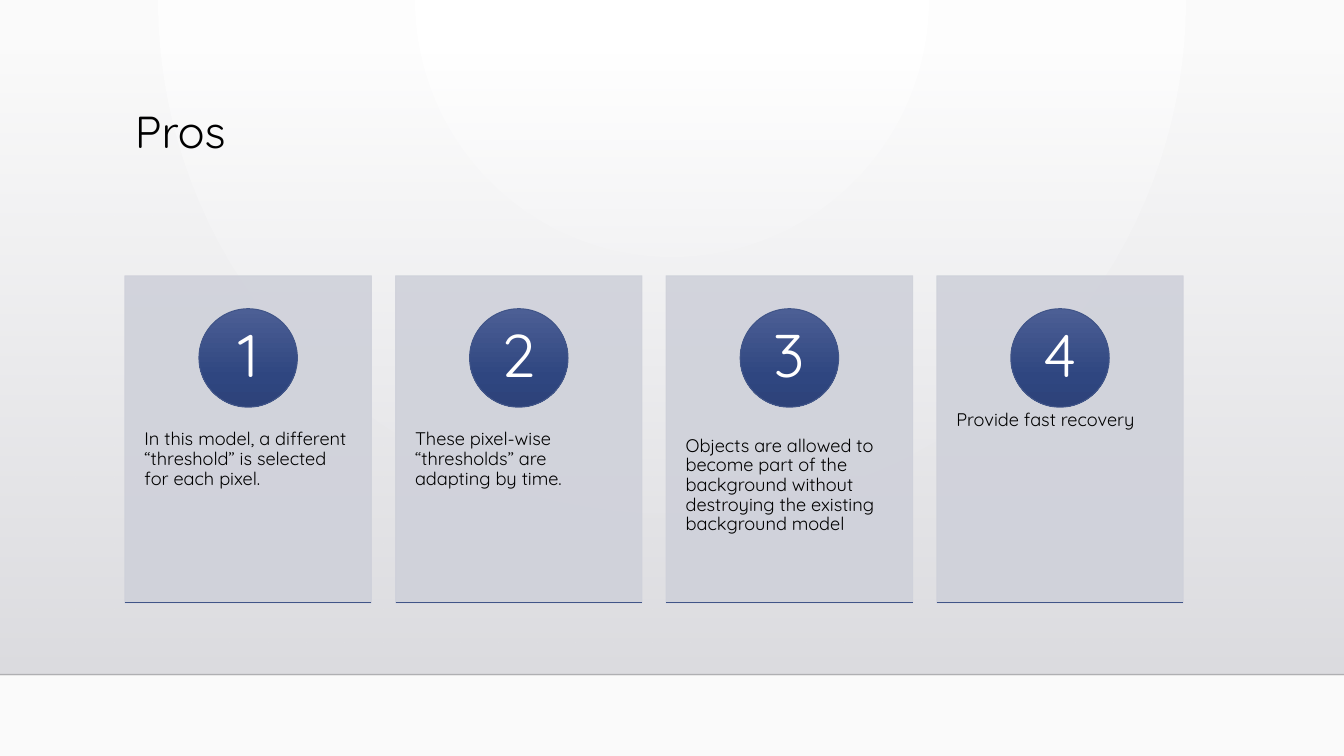
from pptx import Presentation
from pptx.dml.color import RGBColor
from pptx.enum.shapes import MSO_CONNECTOR, MSO_SHAPE
from pptx.enum.text import MSO_ANCHOR, PP_ALIGN
from pptx.oxml import parse_xml
from pptx.oxml.ns import nsdecls, qn
from pptx.oxml.xmlchemy import OxmlElement
from pptx.util import Cm, Pt

STRAIGHT = MSO_CONNECTOR.STRAIGHT
RECTANGLE, OVAL = MSO_SHAPE.RECTANGLE, MSO_SHAPE.OVAL
TOP, MIDDLE = MSO_ANCHOR.TOP, MSO_ANCHOR.MIDDLE
LEFT, CENTER = PP_ALIGN.LEFT, PP_ALIGN.CENTER

FONT = "Quicksand"
COLORS = {
    "text": "000000",
    "number": "FFFFFF",
    "card": "CFD1DA",
    "accent": "415588",
    "floor": "000001",
}
GLOW = [(0, "FFFFFF", 100), (100, "FAFAFA", 100)]
WALL = [(0, "DCDCE0", 0), (100, "DEDEE2", 100)]
BADGE = [(0, "4C5F95", 100), (69, "2F4680", 100), (100, "2D4279", 100)]
DOWNWARD = '<a:lin ang="5400000" scaled="0"/>'
FROM_TOP = '<a:path path="circle"><a:fillToRect l="43000" t="0" r="43000" b="100000"/></a:path>'

SLIDE_WIDTH, SLIDE_HEIGHT = 33.87, 19.05
FLOOR_TOP = 17
CARD_LEFT, CARD_TOP, CARD_WIDTH, CARD_HEIGHT = 3.15, 6.95, 6.21, 8.24
CARD_PITCH = 6.82
BADGE_TOP, BADGE_SIZE = 7.78, 2.48
BODY_TOP, BODY_HEIGHT = 10.09, 4.92
PROS = [
    "In this model, a different “threshold” is selected for each pixel.",
    "These pixel-wise “thresholds” are adapting by time.",
    "Objects are allowed to become part of the background without destroying the existing background model",
    "Provide fast recovery",
]


class SlideBuilder:
    """Holds the style and the current slide, and draws each kind of element."""

    def __init__(self, presentation):
        self.slide = presentation.slides.add_slide(presentation.slide_layouts[5])
        self.shapes = self.slide.shapes

    def set_alpha(self, parent, percent):
        alpha = OxmlElement("a:alpha")
        alpha.set("val", str(percent * 1000))
        next(parent.iter(qn("a:srgbClr"))).append(alpha)

    def set_gradient(self, parent, stops, direction):
        stop_xml = "".join(
            f'<a:gs pos="{position * 1000}"><a:srgbClr val="{color}">'
            f'<a:alpha val="{alpha * 1000}"/></a:srgbClr></a:gs>'
            for position, color, alpha in stops
        )
        gradient = parse_xml(
            f'<a:gradFill {nsdecls("a")} rotWithShape="1">'
            f"<a:gsLst>{stop_xml}</a:gsLst>{direction}</a:gradFill>"
        )
        parent.replace(parent.find(qn("a:solidFill")), gradient)

    def set_line(self, line, color, width, alpha=100):
        line.color.rgb = RGBColor.from_string(COLORS[color])
        line.width = Pt(width)
        if alpha < 100:
            self.set_alpha(line.fill._xPr, alpha)

    def set_text(self, shape, text, size, color="text", align=LEFT, anchor=TOP, insets=(0.25, 0.13)):
        frame = shape.text_frame
        frame.word_wrap = True
        frame.vertical_anchor = anchor
        frame.margin_left = frame.margin_right = Cm(insets[0])
        frame.margin_top = frame.margin_bottom = Cm(insets[1])
        frame.text = text
        paragraph = frame.paragraphs[0]
        paragraph.alignment = align
        paragraph.line_spacing = 0.9
        paragraph.font.name = FONT
        paragraph.font.size = Pt(size)
        paragraph.font.color.rgb = RGBColor.from_string(COLORS[color])

    def background(self):
        fill = self.slide.background.fill
        fill.solid()
        fill.fore_color.rgb = RGBColor.from_string(GLOW[0][1])
        self.set_gradient(next(self.slide.element.iter(qn("p:bgPr"))), GLOW, FROM_TOP)

    def shape(self, kind, left, top, width, height, color="card", stops=None):
        shape = self.shapes.add_shape(kind, Cm(left), Cm(top), Cm(width), Cm(height))
        shape.shadow.inherit = False
        shape.fill.solid()
        shape.fill.fore_color.rgb = RGBColor.from_string(COLORS[color])
        shape.line.fill.background()
        if stops:
            self.set_gradient(shape.element.spPr, stops, DOWNWARD)
        return shape

    def line(self, left, top, width, color, weight, alpha=100):
        connector = self.shapes.add_connector(STRAIGHT, Cm(left), Cm(top), Cm(left + width), Cm(top))
        self.set_line(connector.line, color, weight, alpha)
        connector.element.spPr.append(OxmlElement("a:effectLst"))

    def title(self, text):
        title = self.shapes.title
        title.left, title.top, title.width, title.height = Cm(3.15), Cm(2.64), Cm(26.67), Cm(2.92)
        self.set_text(title, text, 32)
        self.shapes.element.append(title.element)

    def card(self, index, text):
        left = CARD_LEFT + index * CARD_PITCH
        panel = self.shape(RECTANGLE, left, CARD_TOP, CARD_WIDTH, CARD_HEIGHT)
        self.set_alpha(panel.element.spPr, 90)
        self.set_line(panel.line, "card", 0.75, 90)

        body = self.shapes.add_textbox(Cm(left), Cm(BODY_TOP), Cm(CARD_WIDTH), Cm(BODY_HEIGHT))
        self.set_text(body, text, 13, insets=(0.49, 0.91))

        badge_left = left + (CARD_WIDTH - BADGE_SIZE) / 2
        badge = self.shape(OVAL, badge_left, BADGE_TOP, BADGE_SIZE, BADGE_SIZE, "accent", BADGE)
        self.set_line(badge.line, "accent", 0.75)
        self.set_text(badge, str(index + 1), 43, "number", CENTER, MIDDLE, (0.2, 0.03))

        self.line(left, CARD_TOP + CARD_HEIGHT, CARD_WIDTH, "accent", 0.75)


def main():
    presentation = Presentation()
    presentation.slide_width, presentation.slide_height = Cm(SLIDE_WIDTH), Cm(SLIDE_HEIGHT)
    builder = SlideBuilder(presentation)
    builder.background()
    builder.shape(RECTANGLE, 0, 1.3, SLIDE_WIDTH, FLOOR_TOP - 1.3, stops=WALL)
    builder.line(0, FLOOR_TOP, SLIDE_WIDTH, "floor", 1, 20)
    builder.title("Pros")
    for index, text in enumerate(PROS):
        builder.card(index, text)
    presentation.save("out.pptx")


if __name__ == "__main__":
    main()
